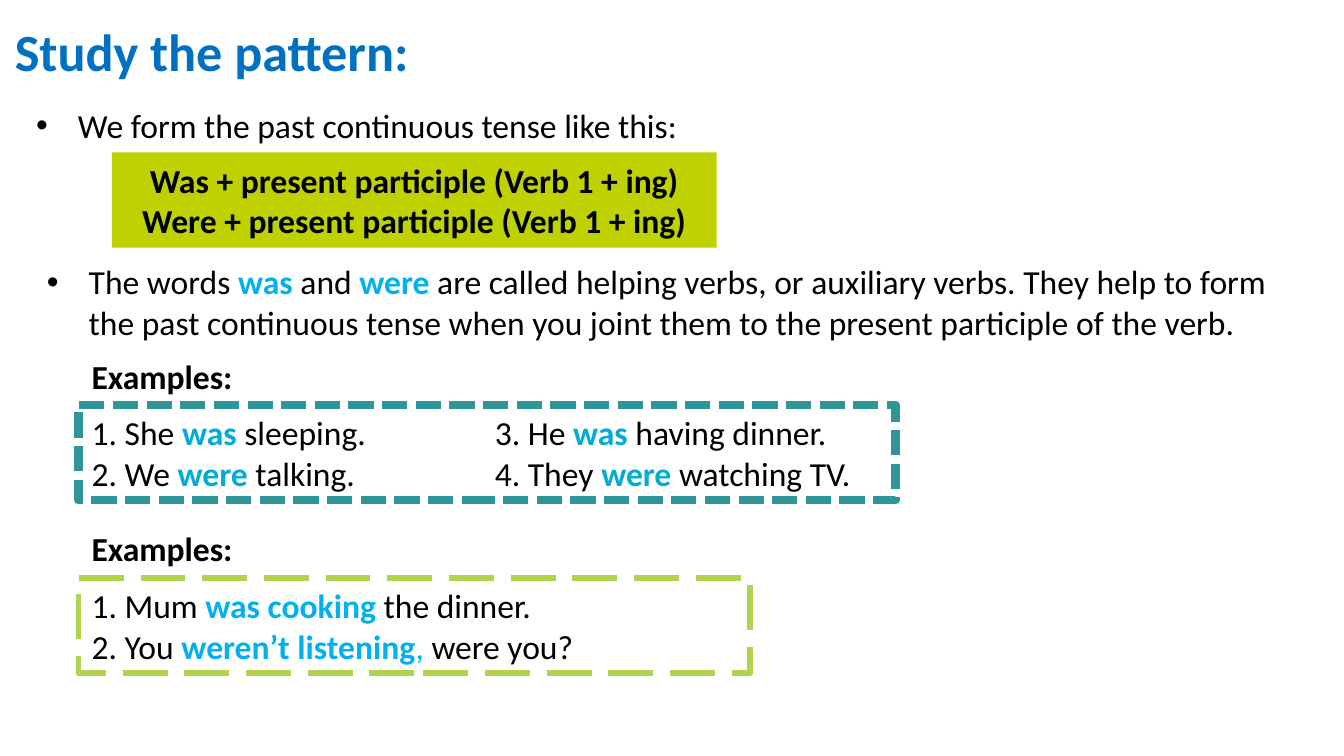
import dataclasses

import lxml.etree
import pptx
import pptx.dml.color
import pptx.enum.dml
import pptx.enum.shapes
import pptx.enum.text
import pptx.oxml.ns
import pptx.util


@dataclasses.dataclass(frozen=True)
class Theme:
    font: str = "Calibri"
    title_size: int = 28
    body_size: int = 18
    title: str = "0070C0"
    ink: str = "000000"
    verb: str = "00B0F0"
    verb_teal: str = "03ABD8"
    formula_fill: str = "BFD101"
    teal_border: str = "2E9699"
    lime_border: str = "B2D34E"


THEME = Theme()
RGB = pptx.dml.color.RGBColor.from_string
DASH = pptx.enum.dml.MSO_LINE
ALIGN = pptx.enum.text.PP_ALIGN
qn = pptx.oxml.ns.qn

presentation = pptx.Presentation()
presentation.slide_width = pptx.util.Inches(10)
presentation.slide_height = presentation.slide_width * 9 // 16
slide = presentation.slides.add_slide(presentation.slide_layouts[5])

# Square grid: 100 columns across the slide, rows of the same size.
CELL = presentation.slide_width / 100
INDENT = round(3.12 * CELL)
SECOND_COLUMN = round(30 * CELL)
EXAMPLES_LEFT = 5.83
TWO_LINES = 7.1
ONE_LINE = 4


def grid_box(left, top, width, height):
    return [round(n * CELL) for n in (left, top, width, height)]


def write(shape, lines, size=THEME.body_size, color=THEME.ink, bold=False,
          accent=THEME.verb, align=ALIGN.LEFT, wrap=True):
    """Fill a shape with lines in which *starred* words are bold and accented."""
    frame = shape.text_frame
    frame.word_wrap = wrap
    frame.auto_size = pptx.enum.text.MSO_AUTO_SIZE.NONE
    for number, line in enumerate(lines):
        paragraph = frame.add_paragraph() if number else frame.paragraphs[0]
        paragraph.alignment = align
        for part, words in enumerate(line.split("*")):
            if not words:
                continue
            starred = part % 2 == 1
            run = paragraph.add_run()
            run.text = words
            run.font.name = THEME.font
            run.font.size = pptx.util.Pt(size)
            run.font.bold = bold or starred
            run.font.color.rgb = RGB(accent if starred else color)


title = slide.shapes.title
title.left, title.top, title.width, title.height = grid_box(0.1, 0.95, 37.5, 5.7)
write(title, ["Study the pattern:"], THEME.title_size, THEME.title, bold=True)
title.text_frame.vertical_anchor = pptx.enum.text.MSO_ANCHOR.TOP

# Bulleted explanations
rules = [
    ((1.7, 7.3, 50.3, ONE_LINE), False,
     "We form the past continuous tense like this:"),
    ((2.5, 18.95, 94.2, TWO_LINES), True,
     "The words *was *and *were *are called helping verbs, or auxiliary verbs. "
     "They help to form the past continuous tense when you joint them to the "
     "present participle of the verb."),
]
for place, wrap, rule in rules:
    explanation = slide.shapes.add_textbox(*grid_box(*place))
    write(explanation, [rule], wrap=wrap)
    properties = explanation.text_frame.paragraphs[0]._p.get_or_add_pPr()
    properties.set("marL", str(INDENT))
    properties.set("indent", str(-INDENT))
    lxml.etree.SubElement(properties, qn("a:buFont"), typeface="Arial")
    lxml.etree.SubElement(properties, qn("a:buChar"), char="•")

# Example headings
for top in (26, 38.8):
    heading = slide.shapes.add_textbox(*grid_box(EXAMPLES_LEFT, top, 12.6, ONE_LINE))
    write(heading, ["Examples:"], bold=True, wrap=False)

# Formula and example panels: place, fill, border (colour, points, dash), text, style
panels = [
    ((8.33, 11.33, 45, TWO_LINES), THEME.formula_fill, None,
     [f"{verb} + present participle (Verb 1 + ing)" for verb in ("Was", "Were")],
     {"bold": True, "align": ALIGN.CENTER}),
    ((EXAMPLES_LEFT, 30.13, 60.8, TWO_LINES), None,
     (THEME.teal_border, 4.5, DASH.SQUARE_DOT),
     ["1. She *was* sleeping. \t3. He *was *having dinner.",
      "2. We *were* talking. \t4. They *were *watching TV."],
     {"accent": THEME.verb_teal}),
    ((EXAMPLES_LEFT, 43, 50, TWO_LINES), None,
     (THEME.lime_border, 3, DASH.LONG_DASH),
     ["1. Mum *was cooking *the dinner.",
      "2. You *weren’t listening**, *were you?"], {}),
]
for place, fill, border, lines, style in panels:
    panel = slide.shapes.add_shape(
        pptx.enum.shapes.MSO_SHAPE.RECTANGLE, *grid_box(*place))
    panel.shadow.inherit = False
    if fill:
        panel.fill.solid()
        panel.fill.fore_color.rgb = RGB(fill)
    else:
        panel.fill.background()
    if border:
        color, points, dash = border
        panel.line.color.rgb = RGB(color)
        panel.line.width = pptx.util.Pt(points)
        panel.line.dash_style = dash
    else:
        panel.line.fill.background()
    write(panel, lines, **style)
    for paragraph in panel.text_frame.paragraphs:
        for run in paragraph.runs:
            if run.text == ", ":
                run.font.bold = False
        if "\t" in paragraph.text:
            tabs = lxml.etree.SubElement(paragraph._p.get_or_add_pPr(), qn("a:tabLst"))
            lxml.etree.SubElement(tabs, qn("a:tab"), pos=str(SECOND_COLUMN), algn="l")

presentation.save("out.pptx")
